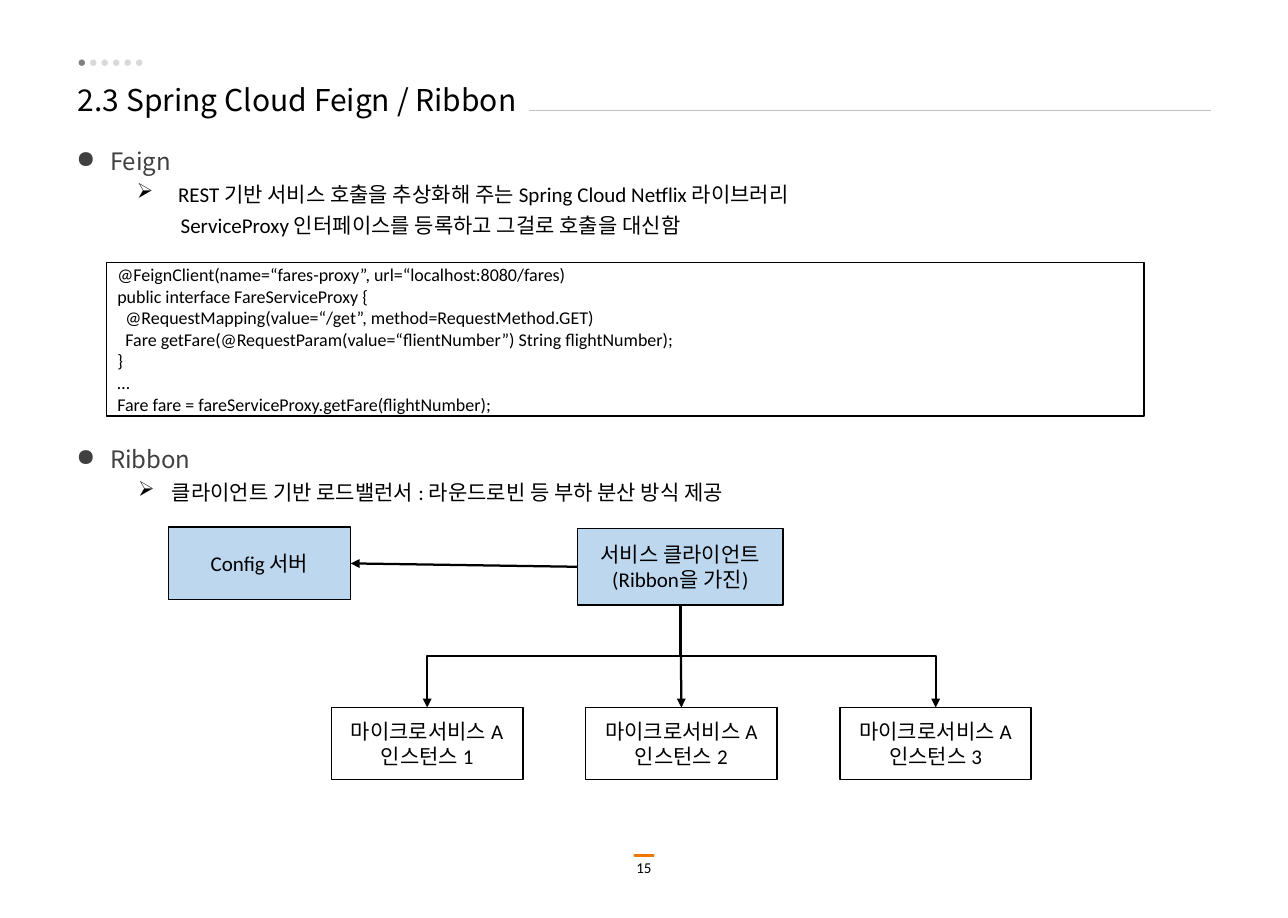
from lxml.etree import SubElement
from pptx import Presentation
from pptx.dml.color import RGBColor
from pptx.enum.shapes import MSO_CONNECTOR, MSO_SHAPE
from pptx.enum.text import MSO_ANCHOR, MSO_AUTO_SIZE, PP_ALIGN
from pptx.oxml.ns import qn
from pptx.util import Cm, Pt

LATIN_FONT = "Calibri"
KOREAN_FONT = "Noto Sans CJK KR"
CODE_LINES = [
    "@FeignClient(name=“fares-proxy”, url=“localhost:8080/fares)",
    "public interface FareServiceProxy {",
    "  @RequestMapping(value=“/get”, method=RequestMethod.GET)",
    "  Fare getFare(@RequestParam(value=“flientNumber”) String flightNumber);",
    "}",
    "…",
    "Fare fare = fareServiceProxy.getFare(flightNumber);",
]


def color(value):
    """Turn a hex string into a colour."""
    return RGBColor.from_string(value)


def write(frame, text, size=14, font=LATIN_FONT, ink="000000", align=PP_ALIGN.LEFT,
          spacing=None, before=None, indent=0, hanging=0, bullet=None):
    """Write one formatted paragraph at the end of a text frame."""
    first = frame.paragraphs[0]
    paragraph = frame.add_paragraph() if first.runs else first
    properties = paragraph._p.get_or_add_pPr()
    if indent:
        properties.set("marL", str(Cm(indent)))
        properties.set("indent", str(-Cm(hanging)))
    if bullet:
        SubElement(properties, qn("a:buChar")).set("char", bullet)
    paragraph.alignment = align
    if spacing:
        paragraph.line_spacing = spacing
    if before:
        paragraph.space_before = Pt(before)
    run = paragraph.add_run()
    run.text = text
    run.font.size = Pt(size)
    run.font.name = font
    run.font.color.rgb = color(ink)
    SubElement(run._r.get_or_add_rPr(), qn("a:ea")).set("typeface", KOREAN_FONT)


def add_box(slide, left, top, width, height, lines, fill=None, **text_format):
    """Add an outlined rectangle holding lines of text."""
    shape = slide.shapes.add_shape(
        MSO_SHAPE.RECTANGLE, Cm(left), Cm(top), Cm(width), Cm(height))
    shape.shadow.inherit = False
    if fill:
        shape.fill.solid()
        shape.fill.fore_color.rgb = color(fill)
    else:
        shape.fill.background()
    shape.line.color.rgb = color("000000")
    shape.line.width = Pt(1)
    shape.text_frame.word_wrap = True
    shape.text_frame.vertical_anchor = MSO_ANCHOR.MIDDLE
    for line in lines:
        write(shape.text_frame, line, **text_format)
    return shape


def add_line(slide, begin, end, ink="000000", width=1.5, arrow=False, cap="flat",
             kind=MSO_CONNECTOR.STRAIGHT):
    """Add a connector between two points given as lengths."""
    connector = slide.shapes.add_connector(kind, *begin, *end)
    connector.line.color.rgb = color(ink)
    connector.line.width = Pt(width)
    properties = connector._element.spPr
    outline = properties.find(qn("a:ln"))
    outline.set("cap", cap)
    if arrow:
        SubElement(outline, qn("a:tailEnd")).set("type", "triangle")
    SubElement(properties, qn("a:effectLst"))
    return connector


def join(slide, source, source_side, target, target_side):
    """Join two rectangles with a straight arrow."""
    arrow = add_line(slide, (0, 0), (0, 0), arrow=True)
    arrow.begin_connect(source, source_side)
    arrow.end_connect(target, target_side)


def add_elbow(slide, source, target):
    """Add an arrow that goes down, sideways and down again."""
    start = source.left + source.width // 2
    finish = target.left + target.width // 2
    bottom = source.top + source.height
    drop, span = target.top - bottom, abs(finish - start)
    middle_x, middle_y = (start + finish) // 2, bottom + drop // 2
    side = 1 if finish < start else -1
    arrow = add_line(
        slide,
        (middle_x - side * drop // 2, middle_y - span // 2),
        (middle_x + side * drop // 2, middle_y + span // 2),
        arrow=True, kind=MSO_CONNECTOR.ELBOW)
    rotation = 90 if side == 1 else 270
    arrow._element.spPr.find(qn("a:xfrm")).set("rot", str(rotation * 60000))


def add_header(slide, left, top, width):
    """Place the progress dots, the title and its rule."""
    for index in range(6):
        dot = slide.shapes.add_shape(
            MSO_SHAPE.OVAL, Cm(left + 0.02 + index * 0.27), Cm(top), Cm(0.15), Cm(0.15))
        dot.shadow.inherit = False
        dot.fill.solid()
        dot.fill.fore_color.rgb = color("D9D9D9" if index else "808080")
        dot.line.fill.background()
    title = slide.shapes.title
    title.left, title.top = Cm(left), Cm(top + 0.48)
    title.width, title.height = Cm(10.62), Cm(1.02)
    frame = title.text_frame
    frame.margin_left, frame.margin_right = 0, Cm(0.1)
    frame.word_wrap = False
    frame.auto_size = MSO_AUTO_SIZE.NONE
    frame.vertical_anchor = MSO_ANCHOR.TOP
    write(frame, "2.3 Spring Cloud Feign / Ribbon", size=20, font=KOREAN_FONT, spacing=0.9)
    rule = Cm(top + 1.19)
    add_line(slide, (Cm(left + 10.62), rule), (Cm(left + width), rule), "BFBFBF", 0.5)


def add_topic(slide, left, top, width, height, heading, points):
    """Place a bulleted heading with its points, each with indent, hanging and bullet."""
    box = slide.shapes.add_textbox(Cm(left), Cm(top), Cm(width), Cm(height))
    frame = box.text_frame
    frame.word_wrap = True
    frame.margin_left = frame.margin_right = frame.margin_top = frame.margin_bottom = 0
    write(frame, heading, size=16, font=KOREAN_FONT, ink="404040", spacing=1.1,
          indent=0.79, hanging=0.79, bullet="●")
    for text, indent, hanging, bullet in points:
        write(frame, text, spacing=0.9, before=5.7,
              indent=indent, hanging=hanging, bullet=bullet)


def add_diagram(slide, left, top):
    """Place the config server, the client and the instances it calls."""
    config = add_box(slide, left, top, 4.29, 1.7, ["Config 서버"],
                     fill="BDD7EE", align=PP_ALIGN.CENTER)
    client = add_box(slide, left + 9.63, top + 0.03, 4.83, 1.8,
                     ["서비스 클라이언트", "(Ribbon을 가진)"],
                     fill="BDD7EE", align=PP_ALIGN.CENTER)
    instances = [
        add_box(slide, left + 3.84 + index * 5.98, top + 4.24, 4.5, 1.7,
                ["마이크로서비스 A", f"인스턴스 {index + 1}"], align=PP_ALIGN.CENTER)
        for index in range(3)
    ]
    join(slide, client, 1, config, 3)
    join(slide, client, 2, instances[1], 0)
    add_elbow(slide, client, instances[0])
    add_elbow(slide, client, instances[2])


def add_footer(slide, left, top, width):
    """Place the page number under a short accent line."""
    box = slide.shapes.add_textbox(Cm(left), Cm(top), Cm(width), Cm(1.14))
    box.text_frame.word_wrap = True
    write(box.text_frame, "15", size=10, align=PP_ALIGN.CENTER)
    center, height = left + width / 2, Cm(top + 0.05)
    add_line(slide, (Cm(center - 0.22), height), (Cm(center + 0.22), height),
             "EE7603", 1.75, cap="rnd")


def main():
    """Build and save the presentation."""
    presentation = Presentation()
    presentation.slide_width, presentation.slide_height = Cm(30.3), Cm(21.59)
    slide = presentation.slides.add_slide(presentation.slide_layouts[5])
    add_header(slide, 1.83, 1.4, 26.67)
    add_topic(slide, 1.8, 3.38, 26.7, 2.4, "Feign", [
        ("REST 기반 서비스 호출을 추상화해 주는 Spring Cloud Netflix 라이브러리", 2.39, 0.97, "➢"),
        ("ServiceProxy 인터페이스를 등록하고 그걸로 호출을 대신함", 2.45, 0, None),
    ])
    add_box(slide, 2.51, 6.17, 24.41, 3.61, CODE_LINES, size=12)
    add_topic(slide, 1.8, 10.39, 26.7, 1.7, "Ribbon", [
        ("클라이언트 기반 로드밸런서 : 라운드로빈 등 부하 분산 방식 제공", 2.24, 0.79, "➢"),
    ])
    add_diagram(slide, 3.96, 12.4)
    add_footer(slide, 13.03, 20.07, 4.24)
    presentation.save("out.pptx")


if __name__ == "__main__":
    main()
